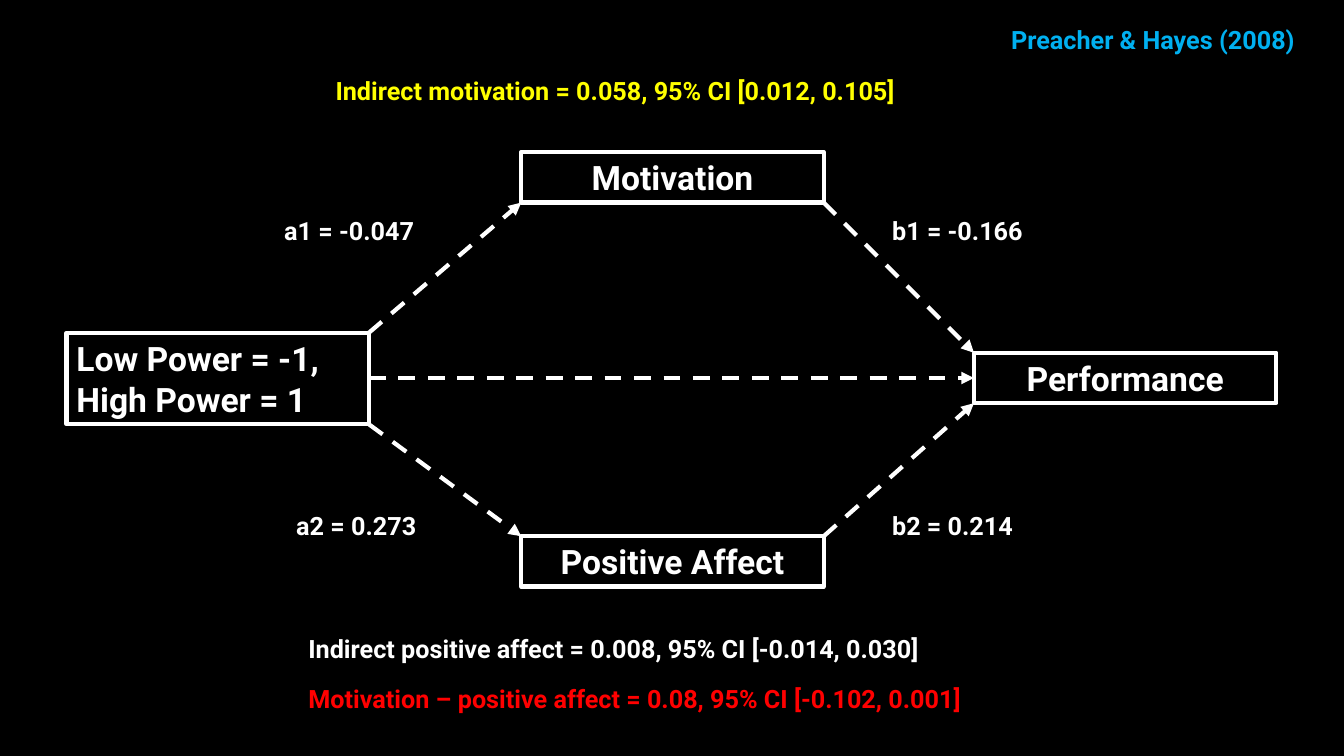
from lxml import etree
from pptx import Presentation
from pptx.dml.color import RGBColor
from pptx.enum.dml import MSO_LINE
from pptx.enum.shapes import MSO_CONNECTOR, MSO_SHAPE
from pptx.enum.text import MSO_ANCHOR, PP_ALIGN
from pptx.oxml.ns import qn
from pptx.util import Inches, Pt

RECTANGLE = MSO_SHAPE.RECTANGLE
STRAIGHT = MSO_CONNECTOR.STRAIGHT
DASH = MSO_LINE.DASH
MIDDLE = MSO_ANCHOR.MIDDLE
LEFT, CENTER = PP_ALIGN.LEFT, PP_ALIGN.CENTER

COLORS = {
    "background": "000000",
    "main": "FFFFFF",
    "motivation": "FFFF00",
    "difference": "FF0000",
    "citation": "00B0F0",
}
FONT = "Roboto"
BOX_WIDTH = 3
LABEL_HEIGHT = 0.4
LINE_WIDTH = Pt(3)


def color(name):
    return RGBColor.from_string(COLORS[name])


def write(frame, text, size, color_name, align):
    frame.word_wrap = True
    frame.text = text
    paragraph = frame.paragraphs[0]
    paragraph.alignment = align
    font = paragraph.font
    font.name = FONT
    font.size = Pt(size)
    font.bold = True
    font.color.rgb = color(color_name)


def add_variable(slide, text, left, top, height=0.5, align=CENTER):
    """Add an outlined variable box and return its corners by name."""
    box = slide.shapes.add_shape(
        RECTANGLE, Inches(left), Inches(top), Inches(BOX_WIDTH), Inches(height))
    box.shadow.inherit = False
    box.fill.background()
    box.line.color.rgb = color("main")
    box.line.width = LINE_WIDTH
    box.text_frame.vertical_anchor = MIDDLE
    write(box.text_frame, text, 24, "main", align)
    right, bottom = left + BOX_WIDTH, top + height
    return {
        "top left": (left, top),
        "top right": (right, top),
        "bottom left": (left, bottom),
        "bottom right": (right, bottom),
    }


def add_path(slide, start, end):
    """Add a dashed arrow from start to end."""
    arrow = slide.shapes.add_connector(
        STRAIGHT, *(Inches(value) for value in (*start, *end)))
    arrow.line.color.rgb = color("main")
    arrow.line.width = LINE_WIDTH
    arrow.line.dash_style = DASH
    etree.SubElement(arrow.line._get_or_add_ln(), qn("a:tailEnd"), type="triangle")
    etree.SubElement(arrow._element.spPr, qn("a:effectLst"))


def add_label(slide, text, left, top, width, color_name="main"):
    label = slide.shapes.add_textbox(
        Inches(left), Inches(top), Inches(width), Inches(LABEL_HEIGHT))
    write(label.text_frame, text, 18, color_name, LEFT)


def main():
    deck = Presentation()
    deck.slide_width, deck.slide_height = Inches(13.33), Inches(7.5)
    slide = deck.slides.add_slide(deck.slide_layouts[6])
    slide.background.fill.solid()
    slide.background.fill.fore_color.rgb = color("background")

    power = add_variable(
        slide, "Low Power = -1, High Power = 1", 0.66, 3.3, 0.91, LEFT)
    performance = add_variable(slide, "Performance", 9.66, 3.5)
    motivation = add_variable(slide, "Motivation", 5.17, 1.51)
    affect = add_variable(slide, "Positive Affect", 5.17, 5.32)

    add_path(slide, power["top right"], motivation["bottom left"])
    add_path(slide, motivation["bottom right"], performance["top left"])
    add_path(slide, power["bottom right"], affect["top left"])
    add_path(slide, affect["top right"], performance["bottom left"])
    add_path(slide, (3.66, 3.75), (9.66, 3.75))

    add_label(slide, "a1 = -0.047", 2.72, 2.09, 1.75)
    add_label(slide, "b1 = -0.166", 8.75, 2.09, 1.85)
    add_label(slide, "a2 = 0.273", 2.84, 5.01, 1.64)
    add_label(slide, "b2 = 0.214", 8.75, 5.01, 1.73)

    add_label(slide, "Indirect positive affect = 0.008, 95% CI [-0.014, 0.030]",
              2.96, 6.23, 7.41)
    add_label(slide, "Indirect motivation = 0.058, 95% CI [0.012, 0.105]",
              3.23, 0.7, 6.86, "motivation")
    add_label(slide, "Motivation – positive affect = 0.08, 95% CI [-0.102, 0.001]",
              2.96, 6.73, 7.83, "difference")
    add_label(slide, "Preacher & Hayes (2008)", 9.93, 0.19, 3.4, "citation")

    deck.save("out.pptx")


if __name__ == "__main__":
    main()
